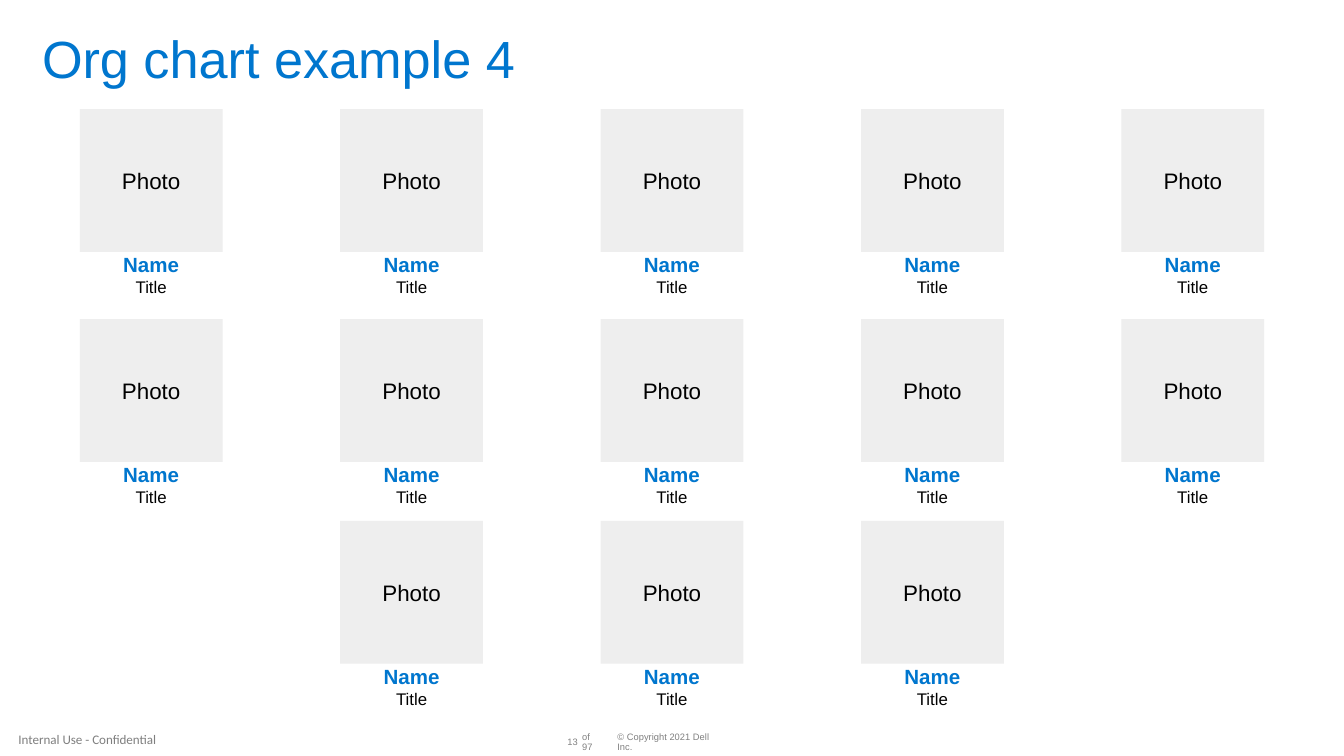
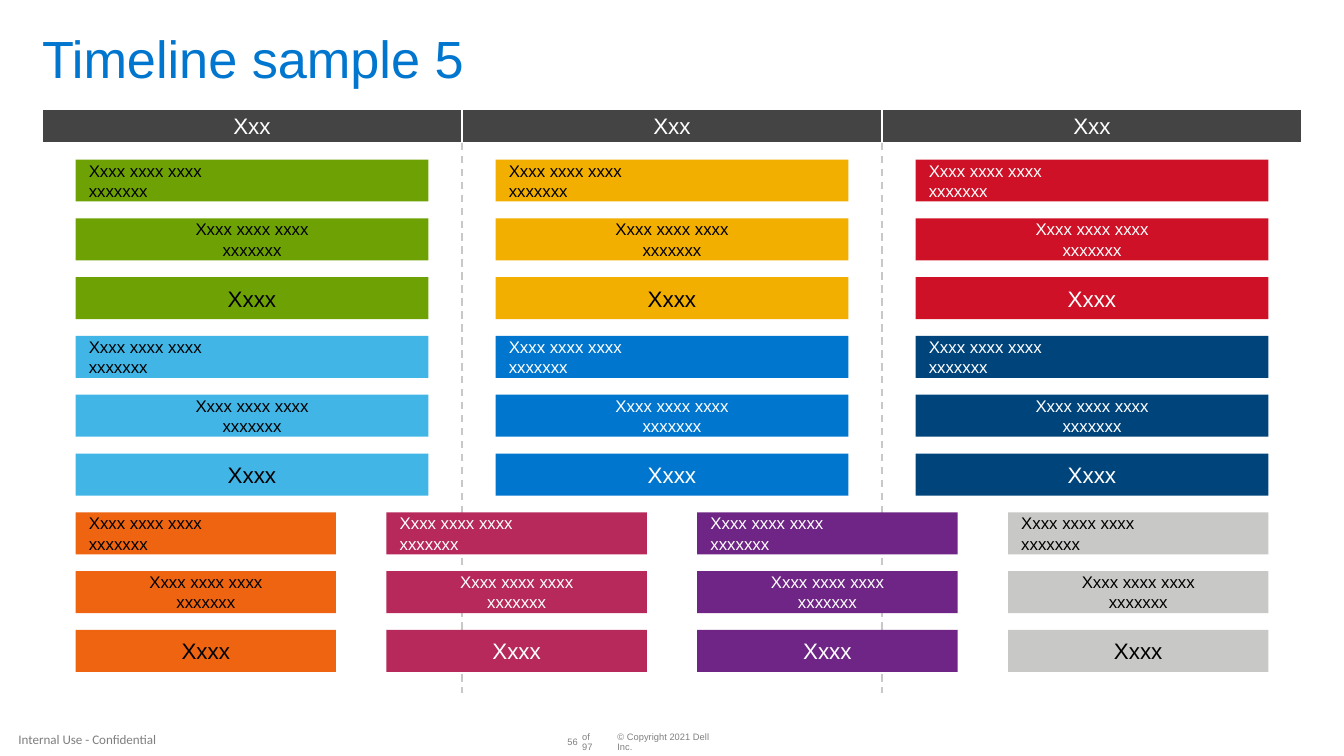
from itertools import product

from lxml.etree import SubElement
from pptx import Presentation
from pptx.dml.color import RGBColor
from pptx.enum.dml import MSO_LINE
from pptx.enum.shapes import MSO_CONNECTOR, MSO_SHAPE
from pptx.enum.text import MSO_ANCHOR, PP_ALIGN
from pptx.oxml.ns import qn
from pptx.util import Pt

PX = 5715
WHITE = RGBColor(0xFF, 0xFF, 0xFF)
BLACK = RGBColor(0x00, 0x00, 0x00)
BLUE = RGBColor(0x00, 0x76, 0xCE)
NAVY = RGBColor(0x00, 0x44, 0x7C)
SKY = RGBColor(0x41, 0xB6, 0xE6)
GREEN = RGBColor(0x6E, 0xA2, 0x04)
YELLOW = RGBColor(0xF2, 0xAF, 0x00)
RED = RGBColor(0xCE, 0x11, 0x26)
ORANGE = RGBColor(0xEE, 0x64, 0x11)
BERRY = RGBColor(0xB7, 0x29, 0x5A)
PURPLE = RGBColor(0x6E, 0x25, 0x85)
SILVER = RGBColor(0xC8, 0xC9, 0xC7)
PALE = RGBColor(0xEE, 0xEE, 0xEE)
CHARCOAL = RGBColor(0x44, 0x44, 0x44)
FOOTER_GREY = RGBColor(0x80, 0x80, 0x80)
LABEL_GREY = RGBColor(0x7F, 0x7F, 0x7F)

LEFT, CENTER, RIGHT = PP_ALIGN.LEFT, PP_ALIGN.CENTER, PP_ALIGN.RIGHT
MARGIN = 50
CONTENT_TOP = 130


class Deck:
    def __init__(self):
        self.presentation = Presentation()
        self.presentation.slide_width = 1600 * PX
        self.presentation.slide_height = 900 * PX
        self.slide = None

    def start_slide(self, title, number):
        blank = self.presentation.slide_layouts[6]
        self.slide = self.presentation.slides.add_slide(blank)
        self.text(735, 878, 130, 13, [("© Copyright 2021 Dell Inc.", 5, FOOTER_GREY)],
                  anchor=MSO_ANCHOR.MIDDLE, spacing=0.9)
        self.text(675, 878, 13, 13, [(number, 5, FOOTER_GREY)], RIGHT,
                  MSO_ANCHOR.MIDDLE, spacing=0.9)
        self.text(693, 878, 24, 13, [("of 97", 5, FOOTER_GREY)],
                  anchor=MSO_ANCHOR.MIDDLE, spacing=0.9)
        self.text(0, 862, 208, 37, [("Internal Use - Confidential", 7, LABEL_GREY)],
                  anchor=MSO_ANCHOR.MIDDLE, font="Calibri", inset=22)
        self.text(MARGIN, 40, 1500, 68, [(title, 28, BLUE)], spacing=0.9)

    def fill_frame(self, frame, lines, align, anchor, insets, font="Arial", spacing=None):
        frame.word_wrap = True
        frame.vertical_anchor = anchor
        side, edge = insets
        frame.margin_left = frame.margin_right = side * PX
        frame.margin_top = frame.margin_bottom = edge * PX
        for index, (words, size, color, *bold) in enumerate(lines):
            paragraph = frame.add_paragraph() if index else frame.paragraphs[0]
            paragraph.text = words
            paragraph.alignment = align
            if spacing:
                paragraph.line_spacing = spacing
            paragraph.font.name = font
            paragraph.font.size = Pt(size)
            paragraph.font.color.rgb = color
            paragraph.font.bold = bool(bold)

    def text(self, left, top, width, height, lines, align=LEFT,
             anchor=MSO_ANCHOR.TOP, font="Arial", spacing=None, inset=0):
        box = self.slide.shapes.add_textbox(left * PX, top * PX, width * PX, height * PX)
        self.fill_frame(box.text_frame, lines, align, anchor, (inset, 0), font, spacing)

    def block(self, left, top, width, height, fill, lines, align=CENTER,
              insets=(16, 0), outline=None):
        block = self.slide.shapes.add_shape(
            MSO_SHAPE.RECTANGLE, left * PX, top * PX, width * PX, height * PX)
        block.shadow.inherit = False
        block.fill.solid()
        block.fill.fore_color.rgb = fill
        if outline is None:
            block.line.fill.background()
        else:
            block.line.color.rgb = outline
            block.line.width = Pt(1)
        self.fill_frame(block.text_frame, lines, align, MSO_ANCHOR.MIDDLE, insets)

    def divider(self, x, top, bottom):
        divider = self.slide.shapes.add_connector(
            MSO_CONNECTOR.STRAIGHT, x * PX, top * PX, x * PX, bottom * PX)
        divider.line.color.rgb = SILVER
        divider.line.width = Pt(1)
        divider.line.dash_style = MSO_LINE.DASH
        SubElement(divider._element.spPr, qn("a:effectLst"))

    def person(self, left, top):
        photo = 170
        width = 260
        self.block(left + (width - photo) // 2, top, photo, photo, PALE,
                   [("Photo", 12, BLACK)], insets=(16, 8))
        self.text(left, top + photo, width, 55,
                  [("Name", 11, BLUE, True), ("Title", 9, BLACK)], CENTER)

    def task_stack(self, left, top, width, fill, color):
        two_lines = [("Xxxx xxxx xxxx", 9, color), ("xxxxxxx", 9, color)]
        tasks = [(two_lines, LEFT), (two_lines, CENTER), ([("Xxxx", 12, color)], CENTER)]
        for row, (lines, align) in enumerate(tasks):
            self.block(left, top + row * 70, width, 50, fill, lines, align)


def org_chart(deck):
    deck.start_slide("Org chart example 4", "13")
    for top, columns in ((CONTENT_TOP, range(5)), (380, range(5)), (620, range(1, 4))):
        for column in columns:
            deck.person(MARGIN + column * 310, top)


def timeline(deck):
    deck.start_slide("Timeline sample 5", "56")
    phase_width, header_height = 500, 40
    for phase in range(3):
        deck.block(MARGIN + phase * phase_width, CONTENT_TOP, phase_width, header_height,
                   CHARCOAL, [("Xxx", 12, WHITE)], insets=(0, 0), outline=WHITE)
    for phase in (1, 2):
        deck.divider(MARGIN + phase * phase_width, CONTENT_TOP + header_height, 825)

    phase_colors = [(GREEN, BLACK), (SKY, BLACK), (YELLOW, BLACK),
                    (BLUE, WHITE), (RED, WHITE), (NAVY, WHITE)]
    for (phase, half), colors in zip(product(range(3), range(2)), phase_colors):
        deck.task_stack(90 + phase * phase_width, 190 + half * 210, 420, *colors)

    shared_colors = [(ORANGE, BLACK), (BERRY, WHITE), (PURPLE, WHITE), (SILVER, BLACK)]
    for column, colors in enumerate(shared_colors):
        deck.task_stack(90 + column * 370, 610, 310, *colors)


def main():
    deck = Deck()
    org_chart(deck)
    timeline(deck)
    deck.presentation.save("out.pptx")


if __name__ == "__main__":
    main()
